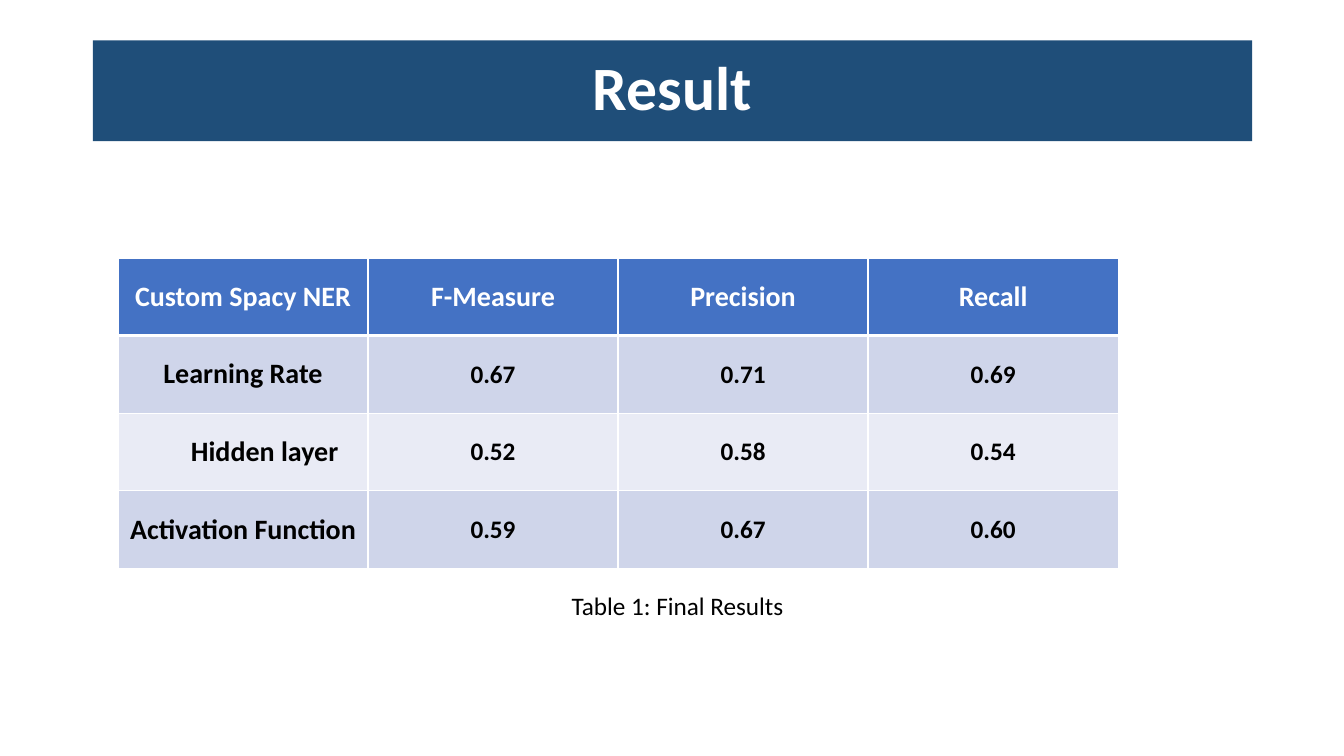
from dataclasses import dataclass

from lxml import etree
from pptx import Presentation
from pptx.dml.color import RGBColor
from pptx.enum.text import MSO_ANCHOR, MSO_AUTO_SIZE, PP_ALIGN
from pptx.oxml.ns import qn
from pptx.util import Inches, Pt

CENTER, LEFT = PP_ALIGN.CENTER, PP_ALIGN.LEFT
MIDDLE, TOP = MSO_ANCHOR.MIDDLE, MSO_ANCHOR.TOP
NO_FIT = MSO_AUTO_SIZE.NONE

TITLE = "Result"
CAPTION = "Table 1: Final Results"
RESULTS = [
    ("Custom Spacy NER", "F-Measure", "Precision", "Recall"),
    ("Learning Rate", "0.67", "0.71", "0.69"),
    ("Hidden layer", "0.52", "0.58", "0.54"),
    ("Activation Function", "0.59", "0.67", "0.60"),
]
INDENTED_LABEL = "Hidden layer"
COLUMN_WIDTH, ROW_HEIGHT = 2.48, 0.77


@dataclass(frozen=True)
class Theme:
    """Colours, font and type sizes of the slide."""
    font: str = "Calibri"
    banner: str = "1F4E79"
    header: str = "4472C4"
    bands: tuple = ("CFD5EA", "E9EBF5")
    light: str = "FFFFFF"
    dark: str = "000000"
    title_size: int = 44
    label_size: int = 20
    body_size: int = 18


THEME = Theme()


def paint(target, color):
    """Give a shape or cell a solid fill."""
    target.fill.solid()
    target.fill.fore_color.rgb = RGBColor.from_string(color)


def write(frame, text, size=THEME.body_size, color=THEME.dark, bold=False,
          align=CENTER, spacing=1.0):
    """Put one formatted paragraph into a text frame."""
    paragraph = frame.paragraphs[0]
    paragraph.alignment = align
    paragraph.line_spacing = spacing
    run = paragraph.add_run()
    run.text = text
    run.font.name = THEME.font
    run.font.size = Pt(size)
    run.font.bold = bold
    run.font.color.rgb = RGBColor.from_string(color)


def add_borders(cell, bottom=1, top=1):
    """Draw white borders around a cell, with widths in points."""
    properties = cell._tc.get_or_add_tcPr()
    for side, width in (("L", 1), ("R", 1), ("T", top), ("B", bottom)):
        line = etree.SubElement(properties, qn(f"a:ln{side}"), w=str(Pt(width)))
        fill = etree.SubElement(line, qn("a:solidFill"))
        etree.SubElement(fill, qn("a:srgbClr"), val=THEME.light)


def add_title(slide):
    """Turn the title placeholder into the banner."""
    title = slide.shapes.title
    title.left, title.top = Inches(0.92), Inches(0.4)
    title.width, title.height = Inches(11.5), Inches(1)
    paint(title, THEME.banner)
    title.text_frame.auto_size = NO_FIT
    title.text_frame.vertical_anchor = MIDDLE
    write(title.text_frame, TITLE, size=THEME.title_size, color=THEME.light,
          bold=True, spacing=0.9)


def add_results(slide):
    """Build the table of scores."""
    rows, columns = len(RESULTS), len(RESULTS[0])
    table = slide.shapes.add_table(
        rows, columns, Inches(1.17), Inches(2.56),
        Inches(COLUMN_WIDTH * columns), Inches(ROW_HEIGHT * rows)).table
    for column in table.columns:
        column.width = Inches(COLUMN_WIDTH)
    for r, values in enumerate(RESULTS):
        table.rows[r].height = Inches(ROW_HEIGHT)
        is_header = r == 0
        for c, value in enumerate(values):
            cell = table.cell(r, c)
            add_borders(cell, bottom=3 if is_header else 1, top=3 if r == 1 else 1)
            paint(cell, THEME.header if is_header else THEME.bands[(r - 1) % 2])
            cell.vertical_anchor = MIDDLE
            if value == INDENTED_LABEL:
                cell.margin_left = Inches(0.53)
            write(cell.text_frame, value, bold=True,
                  size=THEME.label_size if is_header or c == 0 else THEME.body_size,
                  color=THEME.light if is_header else THEME.dark)


def add_caption(slide):
    """Place the caption below the table."""
    caption = slide.shapes.add_textbox(
        Inches(5.57), Inches(5.81), Inches(2.65), Inches(0.4))
    caption.text_frame.word_wrap = True
    caption.text_frame.vertical_anchor = TOP
    write(caption.text_frame, CAPTION, align=LEFT)


def main():
    """Build and save the slide."""
    deck = Presentation()
    deck.slide_width, deck.slide_height = Inches(13.33), Inches(7.5)
    slide = deck.slides.add_slide(deck.slide_layouts.get_by_name("Title Only"))
    add_title(slide)
    add_results(slide)
    add_caption(slide)
    deck.save("out.pptx")


main()
